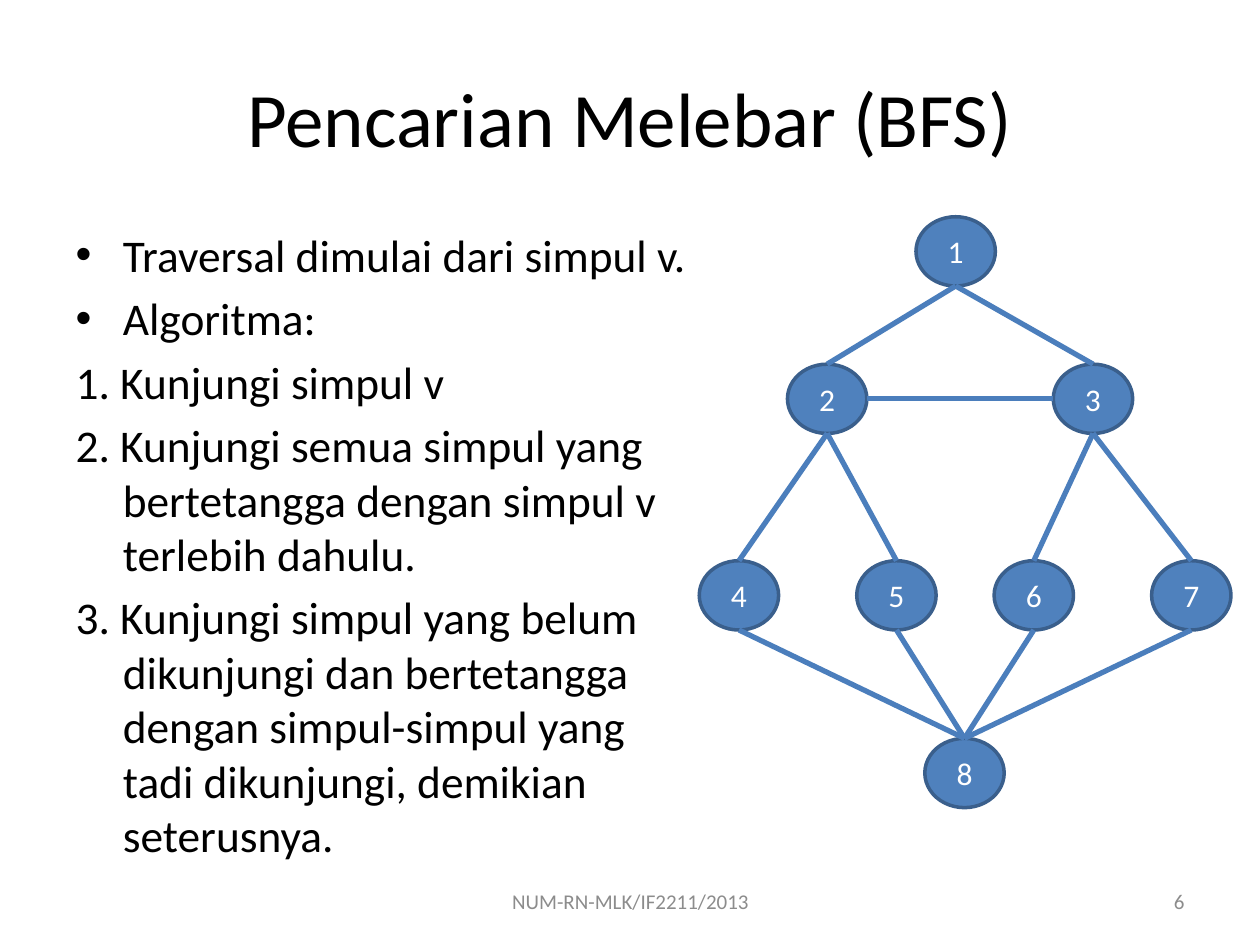
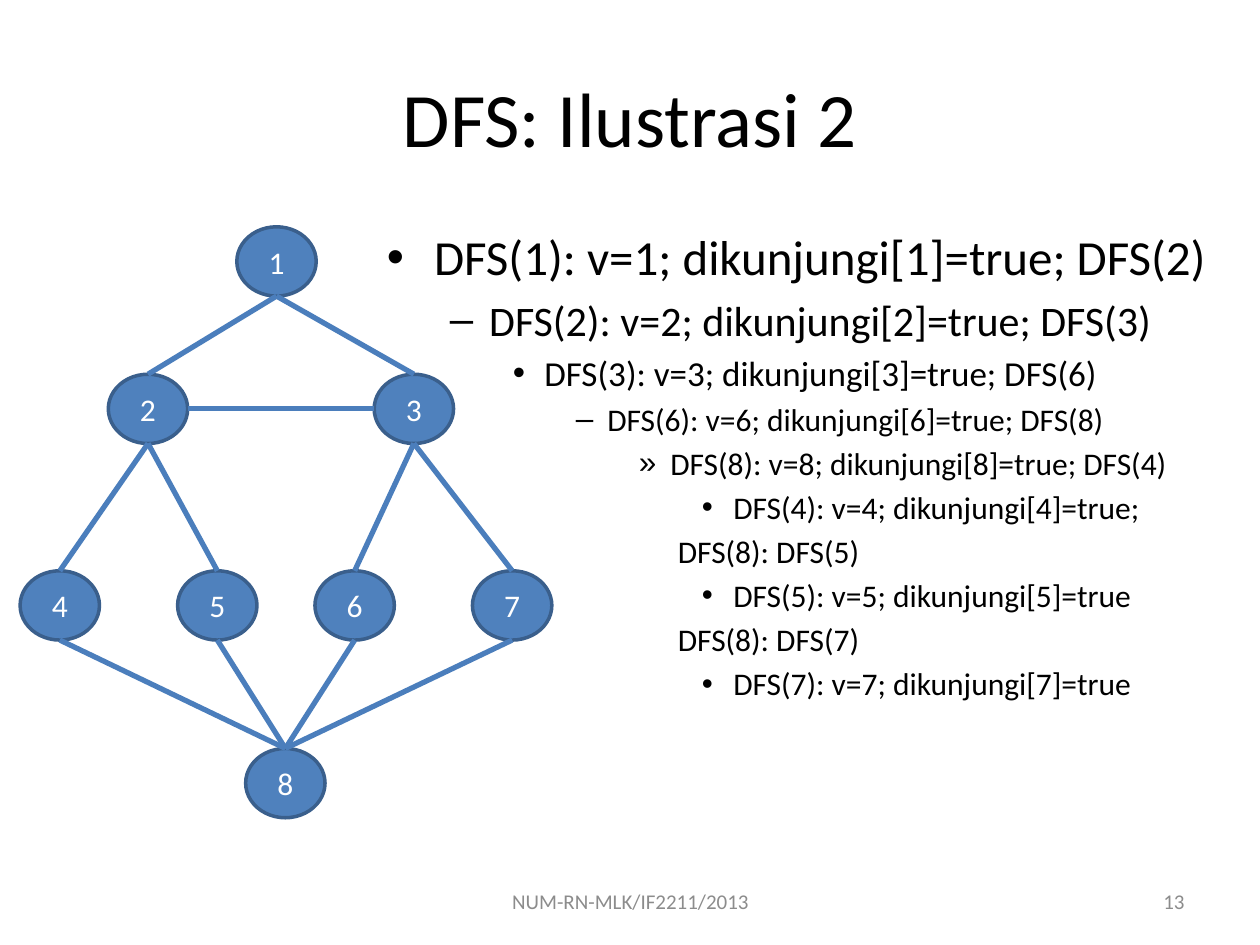
from pptx import Presentation
from pptx import util as u
from pptx.dml.color import RGBColor
from pptx.enum import shapes, text
from pptx.oxml.ns import qn
from lxml import etree

FOOTER = "NUM-RN-MLK/IF2211/2013"
NODE_W, NODE_H = 0.63, 0.55
NODES = {
    "1": (1.72, 0),
    "2": (0.7, 1.17), "3": (2.81, 1.17),
    "4": (0, 2.73), "5": (1.25, 2.73), "6": (2.34, 2.73), "7": (3.59, 2.73),
    "8": (1.79, 4.14),
}
EDGES = ["24", "25", "36", "37", "12", "13", "68", "78", "48", "58"]

BFS_STEPS = [
    ("Traversal dimulai dari simpul v.", True),
    ("Algoritma:", True),
    ("1. Kunjungi simpul v", False),
    ("2. Kunjungi semua simpul yang bertetangga dengan simpul v terlebih dahulu.", False),
    ("3. Kunjungi simpul yang belum dikunjungi dan bertetangga dengan "
     "simpul-simpul yang tadi dikunjungi, demikian seterusnya.", False),
]
DFS_CALLS = [
    (0, "DFS(1): v=1; dikunjungi[1]=true; DFS(2)", True),
    (1, "DFS(2): v=2; dikunjungi[2]=true; DFS(3)", True),
    (2, "DFS(3): v=3; dikunjungi[3]=true; DFS(6)", True),
    (3, "DFS(6): v=6; dikunjungi[6]=true; DFS(8)", True),
    (4, "DFS(8): v=8; dikunjungi[8]=true; DFS(4)", True),
    (5, "DFS(4): v=4; dikunjungi[4]=true;", True),
    (4, "DFS(8): DFS(5)", False),
    (5, "DFS(5): v=5; dikunjungi[5]=true", True),
    (4, "DFS(8): DFS(7)", False),
    (5, "DFS(7): v=7; dikunjungi[7]=true", True),
]
DFS_SIZES = [28, 24, 20, 18, 18, 18]


def rgb(value):
    return RGBColor.from_string(value)


class Deck:
    font = "Calibri"
    ink, muted, white = "000000", "8C8C8C", "FFFFFF"
    node_fill, node_line, edge = "4F81BD", "3A5F8C", "4B7EBC"

    def __init__(self):
        self.prs = Presentation()
        self.prs.slide_width, self.prs.slide_height = u.Inches(10), u.Inches(7.5)
        self.s = None

    def style(self, p, size, color, align=None):
        p.alignment = align
        for r in p.runs:
            r.font.name, r.font.size = self.font, u.Pt(size)
            r.font.color.rgb = rgb(color)

    def place(self, sp, left, top, width, height):
        sp.left, sp.top = u.Inches(left), u.Inches(top)
        sp.width, sp.height = u.Inches(width), u.Inches(height)

    def slide(self, title):
        self.s = self.prs.slides.add_slide(self.prs.slide_layouts[1])
        sp = self.s.shapes.title
        self.place(sp, 0.5, 0.3, 9, 1.25)
        tf = sp.text_frame
        tf.text = title
        tf.vertical_anchor = text.MSO_ANCHOR.MIDDLE
        self.style(tf.paragraphs[0], 44, self.ink, text.PP_ALIGN.CENTER)

    def body(self, left, width, items):
        sp = self.s.placeholders[1]
        self.place(sp, left, 1.75, width, 4.95)
        tf = sp.text_frame
        tf.auto_size = text.MSO_AUTO_SIZE.NONE
        for i, (level, line, bulleted, size, indent) in enumerate(items):
            p = tf.add_paragraph() if i else tf.paragraphs[0]
            p.text, p.level = line, level
            if not i:
                p.space_before = u.Pt(0)
            if not bulleted:
                pPr = p._p.get_or_add_pPr()
                etree.SubElement(pPr, qn("a:buNone"))
                if indent:
                    pPr.set("marL", str(u.Inches(indent)))
                    pPr.set("indent", "0")
            self.style(p, size, self.ink)

    def node(self, label, left, top):
        sp = self.s.shapes.add_shape(shapes.MSO_SHAPE.OVAL, u.Inches(left), u.Inches(top),
                                     u.Inches(NODE_W), u.Inches(NODE_H))
        sp.shadow.inherit = False
        sp.fill.solid()
        sp.fill.fore_color.rgb = rgb(self.node_fill)
        sp.line.color.rgb, sp.line.width = rgb(self.node_line), u.Pt(2)
        tf = sp.text_frame
        tf.text = label
        tf.vertical_anchor = text.MSO_ANCHOR.MIDDLE
        self.style(tf.paragraphs[0], 18, self.white, text.PP_ALIGN.CENTER)

    def line(self, x1, y1, x2, y2):
        c = self.s.shapes.add_connector(shapes.MSO_CONNECTOR.STRAIGHT, u.Inches(x1), u.Inches(y1),
                                        u.Inches(x2), u.Inches(y2))
        c.line.color.rgb, c.line.width = rgb(self.edge), u.Pt(3)
        etree.SubElement(c._element.spPr, qn("a:effectLst"))

    def graph(self, left, top):
        spots = {label: (left + x, top + y) for label, (x, y) in NODES.items()}
        for label, spot in spots.items():
            self.node(label, *spot)
        for a, b in EDGES:
            (xa, ya), (xb, yb) = spots[a], spots[b]
            self.line(xa + NODE_W / 2, ya + NODE_H, xb + NODE_W / 2, yb)
        (x2, y2), (x3, y3) = spots["2"], spots["3"]
        self.line(x2 + NODE_W, y2 + NODE_H / 2, x3, y3 + NODE_H / 2)

    def label(self, line, left, width, align):
        sp = self.s.shapes.add_textbox(u.Inches(left), u.Inches(6.95), u.Inches(width), u.Inches(0.4))
        tf = sp.text_frame
        tf.word_wrap = True
        tf.text = line
        tf.vertical_anchor = text.MSO_ANCHOR.MIDDLE
        self.style(tf.paragraphs[0], 12, self.muted, align)

    def footer(self, number):
        self.label(str(number), 7.17, 2.33, text.PP_ALIGN.RIGHT)
        self.label(FOOTER, 3.42, 3.17, text.PP_ALIGN.CENTER)


def main():
    deck = Deck()

    deck.slide("Pencarian Melebar (BFS)")
    deck.body(0.5, 5.13, [(0, line, bulleted, 25.9, None) for line, bulleted in BFS_STEPS])
    deck.graph(5.55, 1.72)
    deck.footer(6)

    deck.slide("DFS: Ilustrasi 2")
    deck.body(2.97, 7.5, [(level, line, bulleted, DFS_SIZES[level], 2.31)
                          for level, line, bulleted in DFS_CALLS])
    deck.graph(0.16, 1.8)
    deck.footer(13)

    deck.prs.save("out.pptx")


if __name__ == "__main__":
    main()
